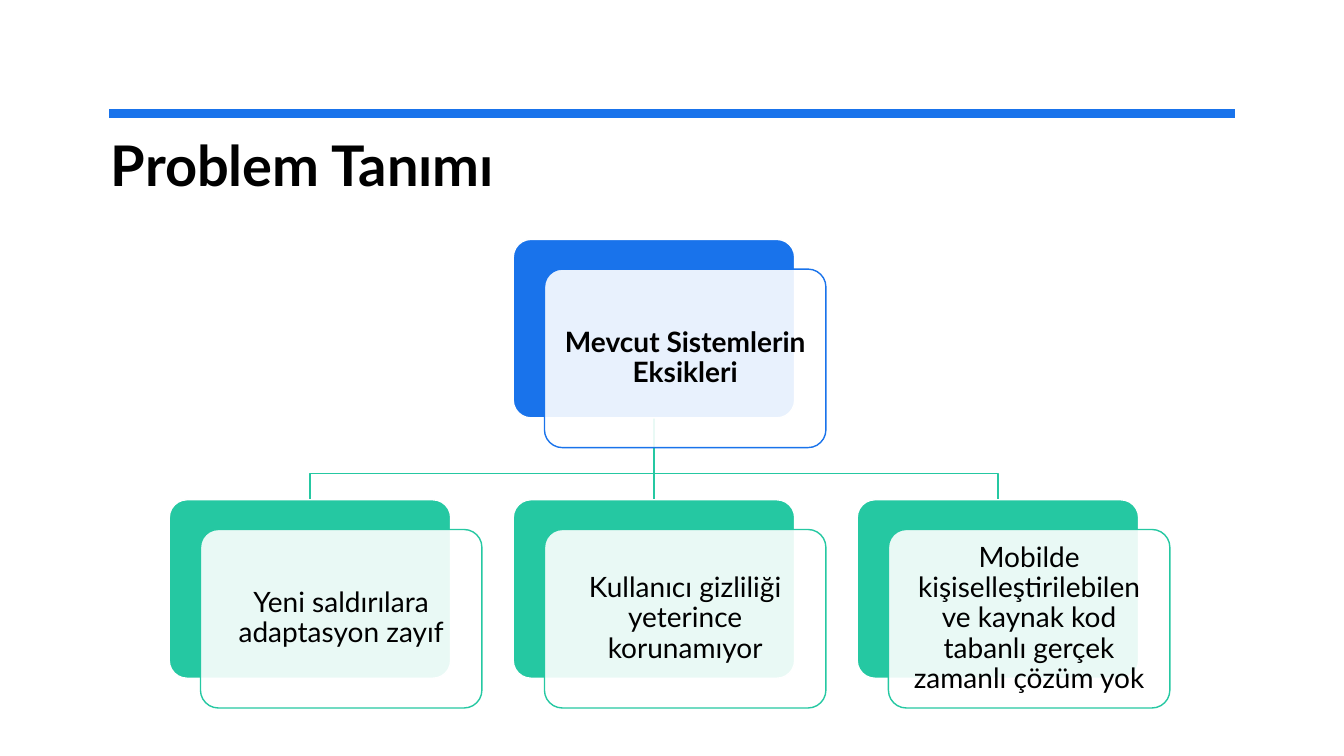
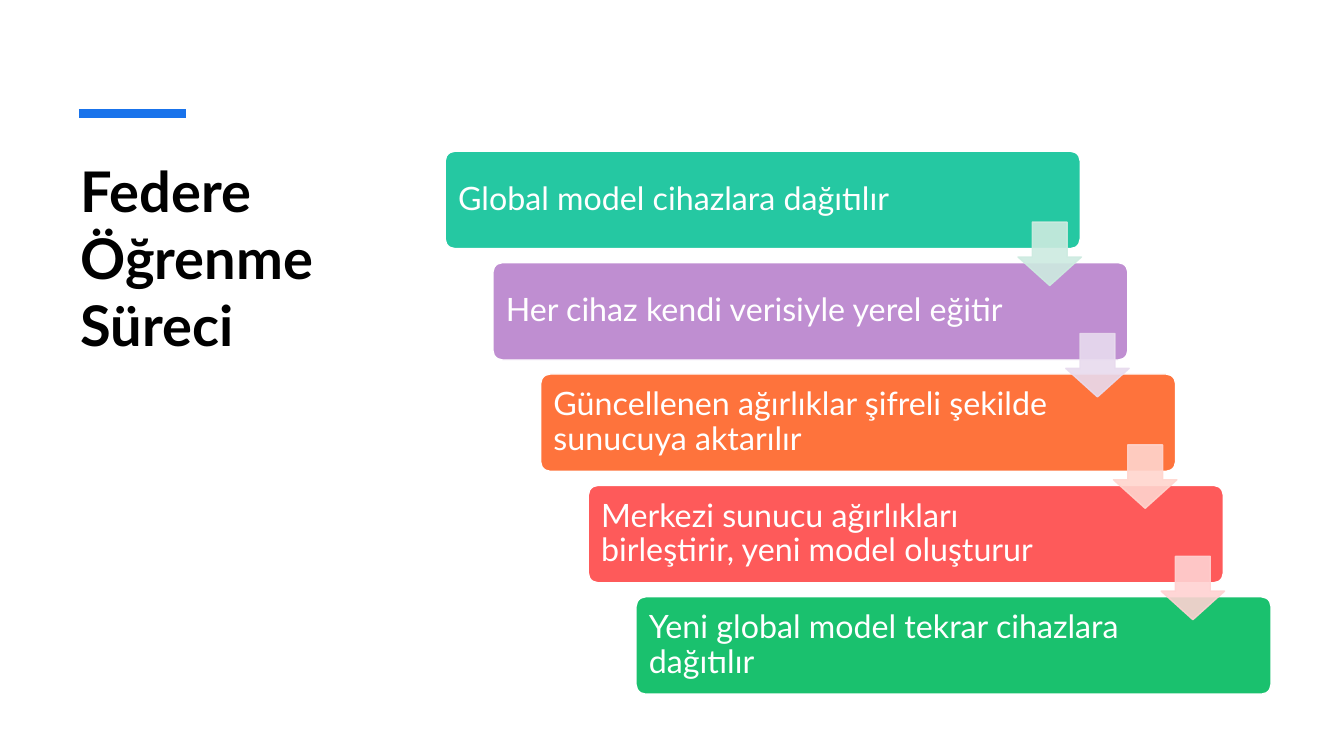
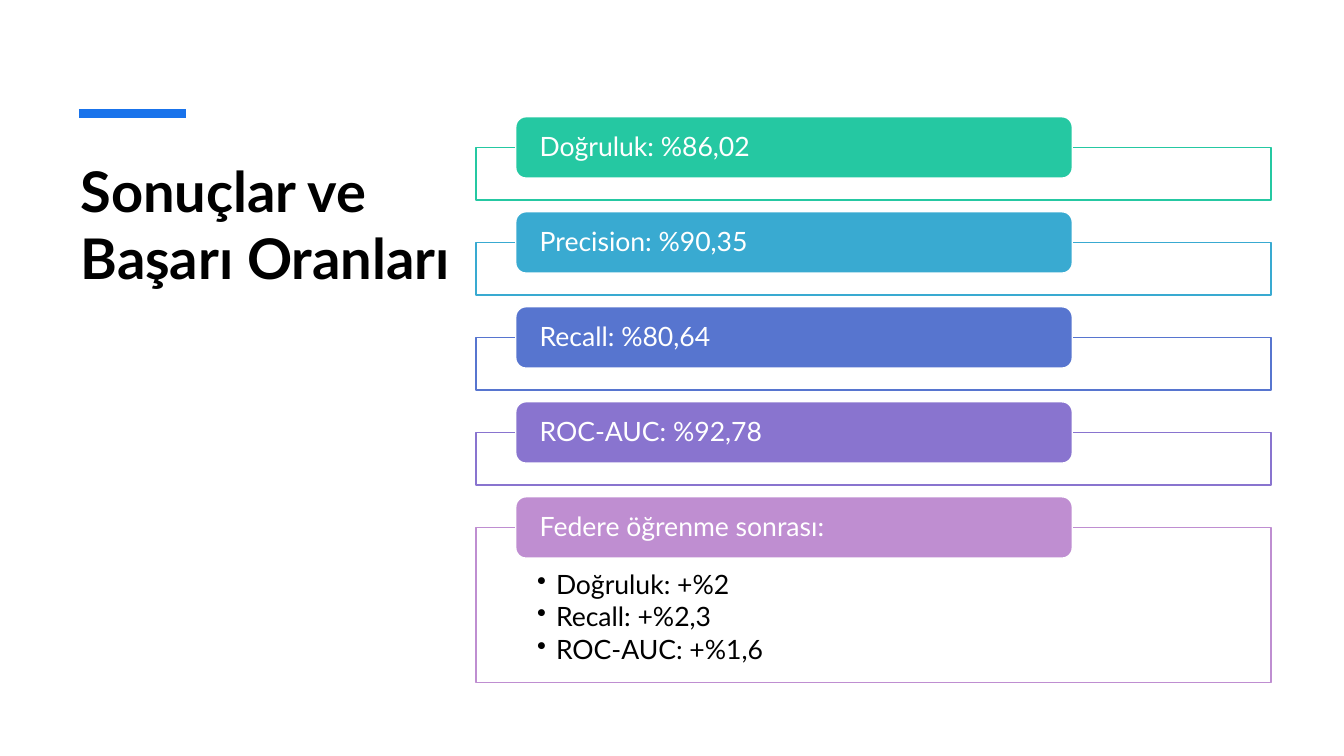
import pptx
import pptx.util
import pptx.dml.color
import pptx.enum.shapes
import pptx.enum.text
import pptx.oxml
import pptx.oxml.ns

RGB = pptx.dml.color.RGBColor
SHAPE = pptx.enum.shapes.MSO_SHAPE
ALIGN = pptx.enum.text.PP_ALIGN
ANCHOR = pptx.enum.text.MSO_ANCHOR
qn = pptx.oxml.ns.qn

# Palette
WHITE = RGB(0xFF, 0xFF, 0xFF)
BLACK = RGB(0x00, 0x00, 0x00)
BLUE = RGB(0x19, 0x73, 0xEB)
TEAL = RGB(0x25, 0xC8, 0xA2)
SKY = RGB(0x39, 0xAA, 0xD1)
INDIGO = RGB(0x57, 0x75, 0xCF)
VIOLET = RGB(0x89, 0x74, 0xCF)
LILAC = RGB(0xBF, 0x8E, 0xD1)
ORANGE = RGB(0xFE, 0x73, 0x3C)
RED = RGB(0xFE, 0x5A, 0x5A)
GREEN = RGB(0x1A, 0xC1, 0x6E)
PALE_TEAL = RGB(0xCD, 0xEB, 0xE0)
PALE_LILAC = RGB(0xE8, 0xDB, 0xEE)
PALE_ORANGE = RGB(0xFF, 0xD5, 0xCE)
PALE_RED = RGB(0xFF, 0xD2, 0xD2)

FONT = "Lato"
COLS, ROWS = 160, 90  # square grid cells over the whole slide
GLASS = 90            # opacity of see-through shapes, in percent


def write(tf, text, size=20, color=BLACK, bold=False, align=ALIGN.LEFT,
          anchor=ANCHOR.MIDDLE, insets=(0, 0, 0, 0), spacing=0.9,
          after=0, bullet_indent=None):
    """Fill a text frame, one paragraph for each line of text."""
    tf.word_wrap = True
    tf.vertical_anchor = anchor
    tf.margin_left, tf.margin_top, tf.margin_right, tf.margin_bottom = insets
    for i, line in enumerate(text.split("\n")):
        p = tf.add_paragraph() if i else tf.paragraphs[0]
        p.alignment, p.line_spacing = align, spacing
        p.space_after = pptx.util.Pt(after)
        r = p.add_run()
        r.text = line
        r.font.name, r.font.size, r.font.bold = FONT, pptx.util.Pt(size), bold
        r.font.color.rgb = color
        if bullet_indent:
            pPr = p._p.get_or_add_pPr()
            pPr.set("marL", str(bullet_indent))
            pPr.set("indent", str(-bullet_indent))
            bu = pptx.oxml.parse_xml(
                '<a:buChar %s char="•"/>' % pptx.oxml.ns.nsdecls("a"))
            pPr.append(bu)


def set_opacity(element, percent):
    for clr in element.iter(qn("a:srgbClr")):
        clr.append(pptx.oxml.parse_xml('<a:alpha %s val="%d"/>' % (
            pptx.oxml.ns.nsdecls("a"), percent * 1000)))


class Deck:
    def __init__(self):
        self.prs = pptx.Presentation()
        self.prs.slide_width = pptx.util.Inches(13.333)
        self.prs.slide_height = pptx.util.Inches(7.5)
        self.s = None

    def x(self, cols):
        return round(self.prs.slide_width * cols / COLS)

    def y(self, rows):
        return round(self.prs.slide_height * rows / ROWS)

    def box(self, left, top, width, height):
        return self.x(left), self.y(top), self.x(width), self.y(height)

    def slide(self, title, at, bar):
        """Start a slide with its blue bar and bold title."""
        self.s = self.prs.slides.add_slide(self.prs.slide_layouts[6])
        tf = self.s.shapes.add_textbox(*self.box(*at)).text_frame
        write(tf, title, size=40, bold=True, anchor=ANCHOR.TOP, spacing=1,
              insets=self.box(1.2, 0.6, 1.2, 0.6))
        self.line((bar[0], 13.5), (bar[1], 13.5), BLUE, 6)

    def line(self, start, end, color, weight=1):
        c = self.s.shapes.add_connector(
            pptx.enum.shapes.MSO_CONNECTOR.STRAIGHT,
            self.x(start[0]), self.y(start[1]), self.x(end[0]), self.y(end[1]))
        c.line.color.rgb, c.line.width = color, pptx.util.Pt(weight)
        c._element.spPr.append(pptx.oxml.parse_xml(
            "<a:effectLst %s/>" % pptx.oxml.ns.nsdecls("a")))

    def elbow(self, start, end, bend, color):
        """Run down, across at the bend row, and down again."""
        if start[0] == end[0]:
            self.line(start, end, color)
            return
        points = [(self.x(c), self.y(r)) for c, r in
                  (start, (start[0], bend), (end[0], bend), end)]
        fb = self.s.shapes.build_freeform(*points[0])
        fb.add_line_segments(points[1:], close=False)
        sp = fb.convert_to_shape()
        sp.shadow.inherit = False
        sp.fill.background()
        sp.line.color.rgb, sp.line.width = color, pptx.util.Pt(1)

    def shape(self, kind, at, fill, line=WHITE, adj=(), opacity=None,
              line_opacity=None, text=None, insets=(0, 0, 0, 0), **fmt):
        sp = self.s.shapes.add_shape(kind, *self.box(*at))
        sp.shadow.inherit = False
        sp.fill.solid()
        sp.fill.fore_color.rgb = fill
        if opacity:
            set_opacity(sp._element.spPr, opacity)
        sp.line.color.rgb, sp.line.width = line, pptx.util.Pt(1)
        if line_opacity:
            set_opacity(sp.line._get_or_add_ln(), line_opacity)
        for i, value in enumerate(adj):
            sp.adjustments[i] = value
        if text:
            write(sp.text_frame, text, insets=self.box(*insets), **fmt)

    def layered_card(self, left, top, width, height, color, text, bold=False):
        """Coloured card with a see-through text card shifted over it."""
        self.shape(SHAPE.ROUNDED_RECTANGLE, (left, top, width, height), color,
                   adj=[0.1])
        self.shape(SHAPE.ROUNDED_RECTANGLE,
                   (left + 3.72, top + 3.54, width, height), WHITE, color,
                   adj=[0.1], opacity=GLASS, text=text, bold=bold,
                   align=ALIGN.CENTER, insets=(1, 1, 1, 1))


def problem(d):
    d.slide("Problem Tanımı", (12, 15, 136, 15), (13, 147))
    gaps = ["Yeni saldırılara adaptasyon zayıf",
            "Kullanıcı gizliliği yeterince korunamıyor",
            "Mobilde kişiselleştirilebilen ve kaynak kod tabanlı gerçek "
            "zamanlı çözüm yok"]
    width, height = 33.5, 21.25
    root_top, top = 28.5, 59.5
    lefts = [20.15 + 40.95 * i for i in range(len(gaps))]
    centers = [left + width / 2 for left in lefts]
    # Tree lines, from the root down to each gap
    for center in centers:
        d.elbow((centers[1], root_top + height), (center, top), 56.4, TEAL)
    # Cards
    d.layered_card(lefts[1], root_top, width, height, BLUE,
                   "Mevcut Sistemlerin Eksikleri", bold=True)
    for left, text in zip(lefts, gaps):
        d.layered_card(left, top, width, height, TEAL, text)


def process(d):
    d.slide("Federe Öğrenme Süreci", (8.4, 18, 41, 54.5), (9.4, 22.2))
    steps = [("Global model cihazlara dağıtılır", TEAL),
             ("Her cihaz kendi verisiyle yerel eğitir", LILAC),
             ("Güncellenen ağırlıklar şifreli şekilde sunucuya aktarılır",
              ORANGE),
             ("Merkezi sunucu ağırlıkları birleştirir, yeni model oluşturur",
              RED),
             ("Yeni global model tekrar cihazlara dağıtılır", GREEN)]
    dx, dy = 5.68, 13.26
    # Staircase of steps
    for i, (text, color) in enumerate(steps):
        d.shape(SHAPE.ROUNDED_RECTANGLE,
                (53 + dx * i, 18 + dy * i, 75.6, 11.6), color, adj=[0.1],
                text=text, size=23, color=WHITE, insets=(1.2, 1.2, 14.4, 1.2))
    # Arrows between the steps
    for i, tint in enumerate([PALE_TEAL, PALE_LILAC, PALE_ORANGE, PALE_RED]):
        d.shape(SHAPE.DOWN_ARROW, (121.2 + dx * i, 26.45 + dy * i, 7.55, 7.55),
                tint, tint, adj=[0.55, 0.45], opacity=GLASS,
                line_opacity=GLASS)


def results(d):
    d.slide("Sonuçlar ve Başarı Oranları", (8.4, 18, 48.2, 51.5), (9.4, 22.2))
    scores = [("Doğruluk: %86,02", TEAL, None),
              ("Precision: %90,35", SKY, None),
              ("Recall: %80,64", INDIGO, None),
              ("ROC-AUC: %92,78", VIOLET, None),
              ("Federe öğrenme sonrası:", LILAC,
               "Doğruluk: +%2\nRecall: +%2,3\nROC-AUC: +%1,6")]
    label_height = 7.3
    for i, (label, color, details) in enumerate(scores):
        top = 13.9 + 11.31 * i
        # Frame, starting halfway down its label
        d.shape(SHAPE.RECTANGLE, (56.65, top + label_height / 2, 94.65,
                                  18.5 if details else 6.25),
                WHITE, color, opacity=GLASS, text=details, size=19,
                anchor=ANCHOR.TOP, insets=(7.3, 5.2, 7.3, 1.8), after=2.85,
                bullet_indent=d.x(2.25))
        d.shape(SHAPE.ROUNDED_RECTANGLE, (61.4, top, 66.25, label_height),
                color, text=label, size=19, color=WHITE,
                insets=(2.5, 0, 2.5, 0))


def main():
    d = Deck()
    problem(d)
    process(d)
    results(d)
    d.prs.save("out.pptx")


if __name__ == "__main__":
    main()
